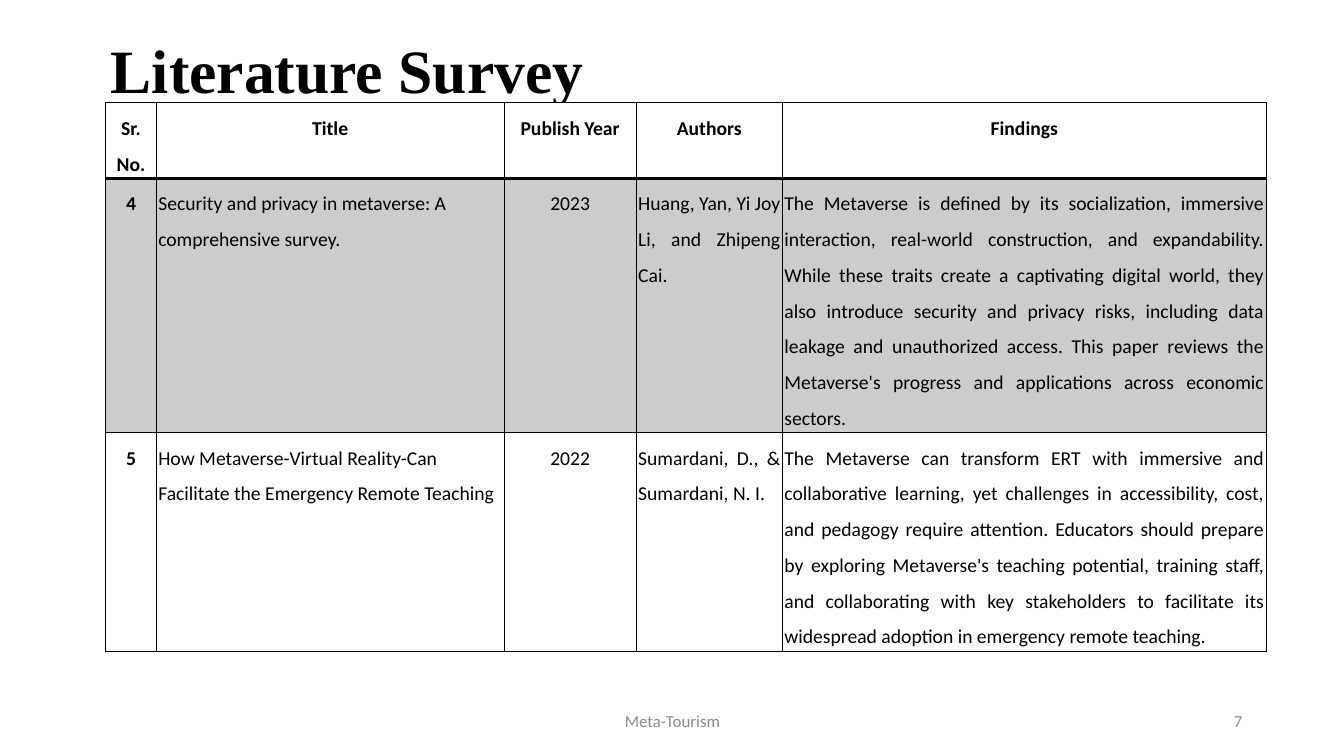
from lxml import etree
from pptx import Presentation
from pptx.dml.color import RGBColor
from pptx.enum.text import MSO_ANCHOR, PP_ALIGN
from pptx.oxml.ns import qn
from pptx.util import Pt

LEFT, CENTER, RIGHT, JUSTIFY = PP_ALIGN.LEFT, PP_ALIGN.CENTER, PP_ALIGN.RIGHT, PP_ALIGN.JUSTIFY
MIDDLE = MSO_ANCHOR.MIDDLE
BLACK = RGBColor(0x00, 0x00, 0x00)
WHITE = RGBColor(0xFF, 0xFF, 0xFF)
BAND = RGBColor(0xCC, 0xCC, 0xCC)
GRAY = RGBColor(0x8C, 0x8C, 0x8C)
PX = 9144


def add_run(paragraph, text, font, size, color, bold=False):
    run = paragraph.add_run()
    run.text = text
    run.font.name = font
    run.font.size = Pt(size)
    run.font.color.rgb = color
    run.font.bold = bold


def add_borders(cell, bottom_width):
    properties = cell._tc.get_or_add_tcPr()
    sides = [("a:lnL", 1), ("a:lnR", 1), ("a:lnT", 1), ("a:lnB", bottom_width)]
    for position, (side, width) in enumerate(sides):
        line = etree.Element(qn(side), w=str(Pt(width)))
        fill = etree.SubElement(line, qn("a:solidFill"))
        etree.SubElement(fill, qn("a:srgbClr"), val=str(BLACK))
        properties.insert(position, line)


prs = Presentation()
prs.slide_width = 1333 * PX
prs.slide_height = 750 * PX
slide = prs.slides.add_slide(prs.slide_layouts[5])

title = slide.shapes.title
title.left, title.top, title.width, title.height = 0, 30 * PX, 1333 * PX, 86 * PX
title.text_frame.margin_left = 110 * PX
title.text_frame.vertical_anchor = MIDDLE
heading = title.text_frame.paragraphs[0]
heading.alignment = LEFT
heading.line_spacing = 0.9
add_run(heading, "Literature Survey", "Times New Roman", 44, BLACK, True)

column_widths = [50, 345, 131, 145, 480]
row_heights = [74, 252, 217]
alignments = [CENTER, LEFT, CENTER, JUSTIFY, JUSTIFY]
survey = [
    ["Sr. No.", "Title", "Publish Year", "Authors", "Findings"],
    ["4", "Security and privacy in metaverse: A comprehensive survey.", "2023",
     "Huang, Yan, Yi Joy Li, and Zhipeng Cai.",
     "The Metaverse is defined by its socialization, immersive interaction, real-world "
     "construction, and expandability. While these traits create a captivating digital world, "
     "they also introduce security and privacy risks, including data leakage and unauthorized "
     "access. This paper reviews the Metaverse's progress and applications across economic "
     "sectors."],
    ["5", "How Metaverse-Virtual Reality-Can Facilitate the Emergency Remote Teaching", "2022",
     "Sumardani, D., & Sumardani, N. I.",
     "The Metaverse can transform ERT with immersive and collaborative learning, yet challenges "
     "in accessibility, cost, and pedagogy require attention. Educators should prepare by "
     "exploring Metaverse's teaching potential, training staff, and collaborating with key "
     "stakeholders to facilitate its widespread adoption in emergency remote teaching."],
]

table = slide.shapes.add_table(
    len(survey), len(column_widths), 105 * PX, 102 * PX,
    sum(column_widths) * PX, sum(row_heights) * PX).table
table.first_row = False
table.horz_banding = False
for column, width in zip(table.columns, column_widths):
    column.width = width * PX
for row, height in zip(table.rows, row_heights):
    row.height = height * PX

for r, entries in enumerate(survey):
    for c, entry in enumerate(entries):
        cell = table.cell(r, c)
        cell.margin_left = cell.margin_right = cell.margin_top = cell.margin_bottom = 2 * PX
        cell.fill.solid()
        cell.fill.fore_color.rgb = BAND if r == 1 else WHITE
        add_borders(cell, 2 if r == 0 else 1)
        paragraph = cell.text_frame.paragraphs[0]
        paragraph.alignment = CENTER if r == 0 else alignments[c]
        paragraph.line_spacing = 1.5
        paragraph.space_after = Pt(8)
        add_run(paragraph, entry, "Calibri", 14, BLACK, r == 0 or c == 0)

for text, left, width, alignment in [("Meta-Tourism", 442, 450, CENTER), ("7", 942, 300, RIGHT)]:
    footer = slide.shapes.add_textbox(left * PX, 695 * PX, width * PX, 40 * PX).text_frame
    footer.word_wrap = True
    footer.vertical_anchor = MIDDLE
    footer.paragraphs[0].alignment = alignment
    add_run(footer.paragraphs[0], text, "Calibri", 12, GRAY)

prs.save("out.pptx")
